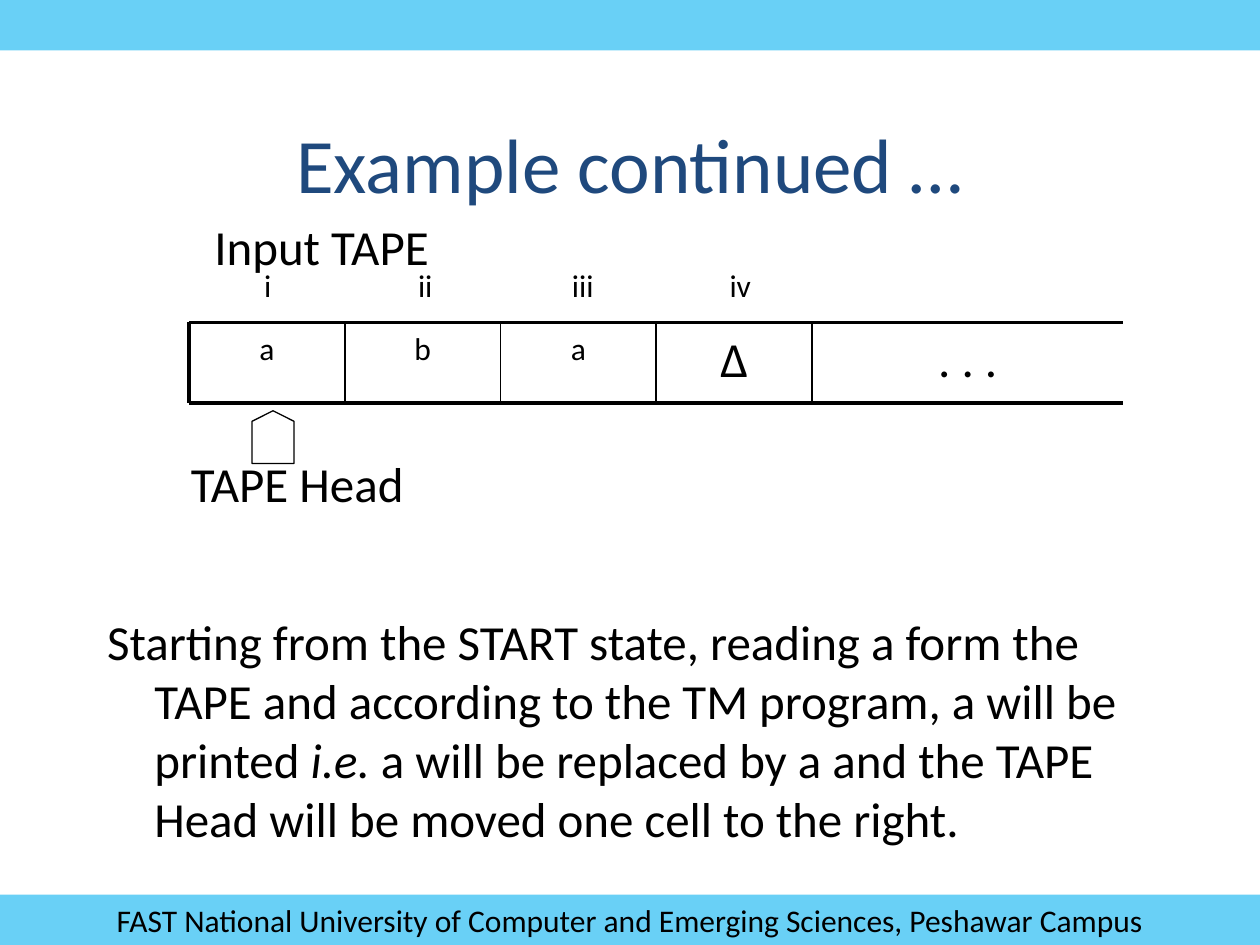
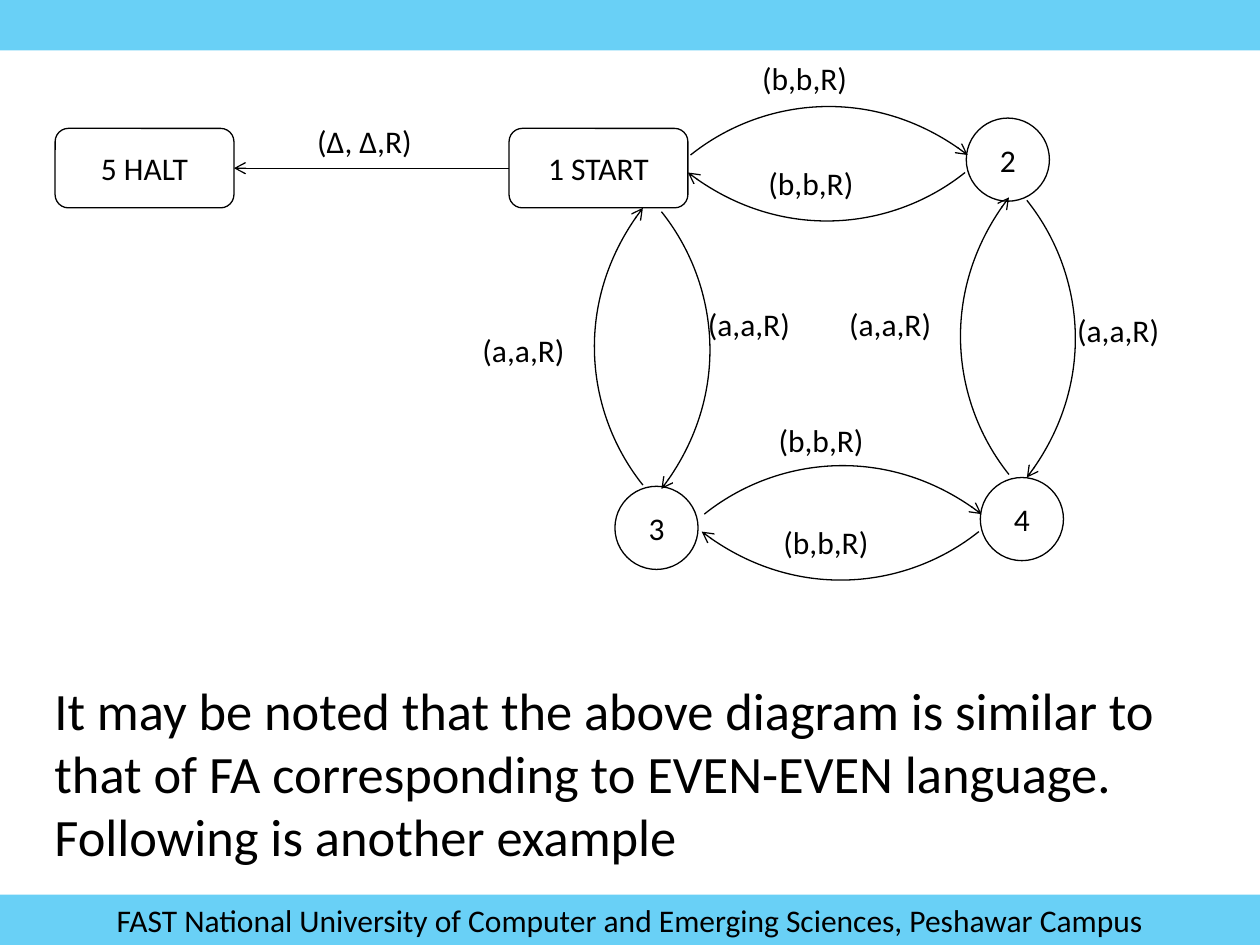
"""Build two Turing machine slides: a tape after one step and a state diagram."""
from dataclasses import dataclass

from lxml.etree import SubElement
from pptx import Presentation
from pptx.dml.color import RGBColor
from pptx.enum.shapes import MSO_CONNECTOR, MSO_SHAPE
from pptx.enum.text import MSO_ANCHOR, MSO_AUTO_SIZE, PP_ALIGN
from pptx.oxml.ns import qn
from pptx.util import Pt


@dataclass(frozen=True)
class Theme:
    font: str = "Calibri"
    ink: RGBColor = RGBColor(0, 0, 0)
    paper: RGBColor = RGBColor(255, 255, 255)
    heading: RGBColor = RGBColor(0x1F, 0x49, 0x7D)
    band: RGBColor = RGBColor(0x00, 0xB0, 0xF0)
    band_alpha: int = 59000
    title: int = 44
    note: int = 30
    body: int = 28
    label: int = 18
    thin: float = 0.75
    divider: float = 1
    thick: float = 2.25


theme = Theme()


def write(box, spans, size, align=PP_ALIGN.LEFT, anchor=MSO_ANCHOR.TOP, color=theme.ink, wrap=True):
    """Fill a box with one paragraph of (text, italic) spans."""
    frame = box.text_frame
    frame.word_wrap = wrap
    frame.auto_size = MSO_AUTO_SIZE.NONE
    frame.vertical_anchor = anchor
    para = frame.paragraphs[0]
    para.alignment = align
    para.space_before = Pt(0)
    for text, italic in spans:
        span = para.add_run()
        span.text = text
        span.font.name = theme.font
        span.font.size = Pt(size)
        span.font.italic = italic
        span.font.color.rgb = color
    return para


def outline(shape, width, arrow=False):
    """Give a shape or connector a plain black line without shadow."""
    shape.line.color.rgb = theme.ink
    shape.line.width = Pt(width)
    properties = shape._element.spPr
    if arrow:
        SubElement(properties.find(qn("a:ln")), qn("a:tailEnd"), type="arrow")
    SubElement(properties, qn("a:effectLst"))


deck = Presentation()
deck.slide_width, deck.slide_height = Pt(720), Pt(540)

page = deck.slides.add_slide(deck.slide_layouts[1])
footer = "FAST National University of Computer and Emerging Sciences, Peshawar Campus"
for index, (top, text) in enumerate([(0, ""), (511.2, footer)]):
    band = page.shapes.add_shape(MSO_SHAPE.RECTANGLE, 0, Pt(top), Pt(720), Pt(28.8))
    band.fill.solid()
    band.fill.fore_color.rgb = theme.band
    tint = band._element.spPr.find(qn("a:solidFill"))[0]
    SubElement(tint, qn("a:alpha"), val=str(theme.band_alpha))
    band.line.fill.background()
    band.shadow.inherit = False
    if text:
        write(band, [(text, False)], theme.label, PP_ALIGN.CENTER, MSO_ANCHOR.MIDDLE)
    band._element.nvSpPr.cNvPr.set("id", str(20 + index))
    deck.slide_master.shapes._spTree.insert(2 + index, band._element)

title, body = page.placeholders
title.left, title.top, title.width, title.height = Pt(54), Pt(48), Pt(612), Pt(90)
write(title, [("Example continued …", False)], theme.title, PP_ALIGN.CENTER,
      MSO_ANCHOR.MIDDLE, theme.heading)
body.left, body.top, body.width, body.height = Pt(54), Pt(346), Pt(612), Pt(146)
para = write(body, [
    ("Starting from the START state, reading a form the TAPE and according to the TM program, "
     "a will be printed ", False),
    ("i.e.", True),
    (" a will be replaced by a and the TAPE Head will be moved one cell to the right.", False),
], theme.body)
hanging = para._p.get_or_add_pPr()
hanging.set("marL", str(Pt(27)))
hanging.set("indent", str(Pt(-27)))
SubElement(hanging, qn("a:buNone"))

tape_left, tape_top, tape_bottom, cell_width = 108, 184.3, 230.4, 89
tape_right = tape_left + 6 * cell_width
cells = [("a", 1, theme.label), ("b", 1, theme.label), ("a", 1, theme.label),
         ("∆", 1, theme.body), (". . .", 2, theme.body)]
for index, (symbol, span_cells, size) in enumerate(cells):
    cell = page.shapes.add_textbox(Pt(tape_left + index * cell_width), Pt(tape_top),
                                   Pt(span_cells * cell_width), Pt(tape_bottom - tape_top))
    write(cell, [(symbol, False)], size, PP_ALIGN.CENTER)

tape_lines = [(tape_left, tape_top, tape_right, tape_top, theme.thick),
              (tape_left, tape_bottom, tape_right, tape_bottom, theme.thick),
              (tape_left, tape_top, tape_left, tape_bottom, theme.thick)]
for index in range(1, 5):
    x = tape_left + index * cell_width
    tape_lines.append((x, tape_top, x, tape_bottom, theme.divider))
for x1, y1, x2, y2, width in tape_lines:
    line = page.shapes.add_connector(MSO_CONNECTOR.STRAIGHT, Pt(x1), Pt(y1), Pt(x2), Pt(y2))
    outline(line, width)

for index, numeral in enumerate(["i", "ii", "iii", "iv"]):
    box = page.shapes.add_textbox(Pt(tape_left + 90 * index), Pt(148.3), Pt(90), Pt(41))
    write(box, [(numeral, False)], theme.label, PP_ALIGN.CENTER)

for text, left, top in [("TAPE Head", 102, 255.6), ("Input TAPE", 115.4, 120.3)]:
    box = page.shapes.add_textbox(Pt(left), Pt(top), Pt(168), Pt(41))
    write(box, [(text, False)], theme.body)

head = page.shapes.add_shape(MSO_SHAPE.FLOWCHART_OFFPAGE_CONNECTOR,
                             Pt(144), Pt(234.7), Pt(24), Pt(30.2))
head.rotation = 180
head.fill.background()
outline(head, theme.thin)

page = deck.slides.add_slide(deck.slide_layouts[6])
for name, left, top in [("2", 552.2, 67.5), ("3", 351.4, 277.9), ("4", 560.2, 272.9)]:
    state = page.shapes.add_shape(MSO_SHAPE.OVAL, Pt(left), Pt(top), Pt(47.5), Pt(47.5))
    state.fill.solid()
    state.fill.fore_color.rgb = theme.paper
    outline(state, theme.thin)
    write(state, [(name, False)], theme.label, PP_ALIGN.CENTER, MSO_ANCHOR.MIDDLE, wrap=False)

terminals = []
for name, left in [("1 START", 290.9), ("5 HALT", 31.5)]:
    terminal = page.shapes.add_shape(MSO_SHAPE.ROUNDED_RECTANGLE,
                                     Pt(left), Pt(73.4), Pt(102.2), Pt(45.4))
    terminal.adjustments[0] = 0.167
    terminal.fill.background()
    outline(terminal, theme.thin)
    write(terminal, [(name, False)], theme.label, PP_ALIGN.CENTER, MSO_ANCHOR.MIDDLE, wrap=False)
    terminals.append(terminal)

start, halt = terminals
halting = page.shapes.add_connector(MSO_CONNECTOR.STRAIGHT, 0, 0, 0, 0)
halting.begin_connect(start, 1)
halting.end_connect(halt, 3)
outline(halting, theme.thin, arrow=True)

right, left, up, down = (1, 0), (-1, 0), (0, -1), (0, 1)
arc_offsets = [(40.5, 32.4), (106, 40.3), (158.4, 0)]
arcs = [(551.5, 98.6, left), (394.6, 88.6, right), (367.4, 277.2, up), (378, 121, down),
        (559.4, 303.8, left), (402.5, 293.8, right), (576.6, 271.2, up), (586.8, 114.5, down)]
for x, y, (dx, dy) in arcs:
    builder = page.shapes.build_freeform(Pt(x), Pt(y))
    builder.add_line_segments(
        [(Pt(x + along * dx + out * dy), Pt(y + along * dy - out * dx))
         for along, out in arc_offsets], close=False)
    arc = builder.convert_to_shape()
    route = arc._element.spPr.find(".//" + qn("a:path"))
    curve = SubElement(route, qn("a:cubicBezTo"))
    for segment in route.findall(qn("a:lnTo")):
        curve.append(segment[0])
        route.remove(segment)
    arc.fill.background()
    outline(arc, theme.thin, arrow=True)

transitions = {
    "(a,a,R)": [(268.6, 185.8), (608.4, 174.2), (478.1, 170.6), (397.4, 170.6)],
    "(b,b,R)": [(428.4, 30.2), (432, 90), (437.8, 236.9), (440.6, 295.2)],
    "(∆, ∆,R)": [(174.2, 66.2)],
}
for text, places in transitions.items():
    for x, y in places:
        box = page.shapes.add_textbox(Pt(x), Pt(y), Pt(90), Pt(33))
        write(box, [(text, False)], theme.label)

note = page.shapes.add_textbox(Pt(24), Pt(384), Pt(666), Pt(115))
write(note, [("It may be noted that the above diagram is similar to that of FA corresponding to "
              "EVEN-EVEN language. Following is another example", False)], theme.note)

deck.save("out.pptx")
